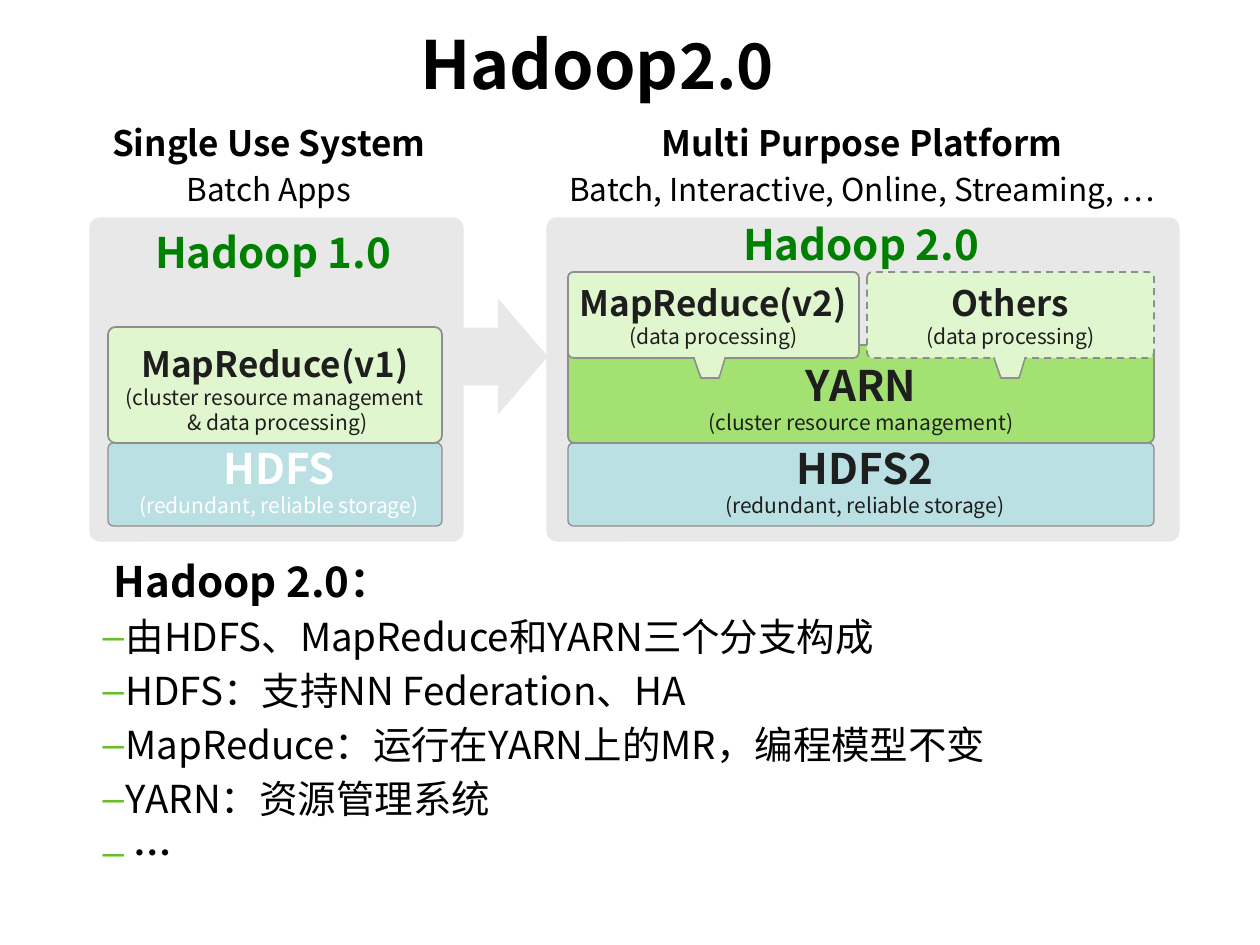
from dataclasses import dataclass
from typing import Optional

from lxml.etree import SubElement
from pptx import Presentation
from pptx.dml.color import RGBColor
from pptx.enum.dml import MSO_LINE
from pptx.enum.shapes import MSO_SHAPE
from pptx.enum.text import MSO_ANCHOR, MSO_AUTO_SIZE, PP_ALIGN
from pptx.oxml.ns import qn
from pptx.util import Emu, Pt

SCALE = 914400 / 126
FONT = "Noto Sans CJK SC"
BLACK, WHITE, INK, GREEN = "000000", "FFFFFF", "1E1E1E", "008000"
PANEL, BORDER, STORAGE, ENGINE, MANAGER = "E8E8E8", "8E8E8E", "BBE0E3", "E0F6CE", "A3E272"
BULLET = "69BE28"


@dataclass(frozen=True)
class Area:
    left: int
    top: int
    width: int
    height: int


@dataclass(frozen=True)
class Line:
    text: str
    size: int
    bold: bool = False
    margin: int = 0


@dataclass(frozen=True)
class Layer:
    area: Area
    fill: str
    lines: tuple[Line, ...]
    color: str = INK
    anchor: MSO_ANCHOR = MSO_ANCHOR.BOTTOM
    dashed: bool = False
    storage: bool = False


@dataclass(frozen=True)
class Caption:
    area: Area
    lines: tuple[Line, ...]
    color: str = BLACK


def px(length: int) -> Emu:
    """Turn px into EMU."""
    return Emu(round(length * SCALE))


def rgb(value: str) -> RGBColor:
    """Turn a hex string into a colour."""
    return RGBColor.from_string(value)


def place(shape, area: Area) -> None:
    """Move and size a shape."""
    shape.left, shape.top = px(area.left), px(area.top)
    shape.width, shape.height = px(area.width), px(area.height)


def add_span(para, line: Line, color: str) -> None:
    """Add one formatted run to a paragraph."""
    span = para.add_run()
    span.text = line.text
    span.font.size = Pt(line.size)
    span.font.bold = line.bold
    span.font.name = FONT
    span.font.color.rgb = rgb(color)
    SubElement(span.font._element, qn("a:ea"), typeface=FONT)


def indent(para, margin: int, first: int) -> None:
    """Set the left margin and first-line indent of a paragraph."""
    properties = para._p.get_or_add_pPr()
    properties.set("marL", str(px(margin)))
    properties.set("indent", str(px(first)))


def write_lines(frame, lines: tuple[Line, ...], color: str, gap: float = 0,
                align: PP_ALIGN = PP_ALIGN.CENTER) -> None:
    """Write one paragraph per line, with the gap as a share of the text size."""
    for index, line in enumerate(lines):
        para = frame.add_paragraph() if index else frame.paragraphs[0]
        para.alignment = align
        para.line_spacing = 1.0
        para.space_before = Pt(round(line.size * gap, 1) if index else 0)
        indent(para, line.margin, 0)
        add_span(para, line, color)


def paint(shape, fill: str, border: Optional[str] = None, width: float = 1) -> None:
    """Fill and outline a shape without a shadow."""
    shape.shadow.inherit = False
    shape.fill.solid()
    shape.fill.fore_color.rgb = rgb(fill)
    if border:
        shape.line.color.rgb = rgb(border)
        shape.line.width = Pt(width)
    else:
        shape.line.fill.background()


def add_preset(page, kind: MSO_SHAPE, area: Area):
    """Add a preset shape at an area."""
    return page.shapes.add_shape(kind, px(area.left), px(area.top), px(area.width), px(area.height))


def add_panel(page, area: Area) -> None:
    """Add a grey rounded panel."""
    panel = add_preset(page, MSO_SHAPE.ROUNDED_RECTANGLE, area)
    panel.adjustments[0] = 0.03
    paint(panel, PANEL, PANEL, 0.75)


def add_layer(page, layer: Layer) -> None:
    """Add one labelled block of the software stack."""
    box = add_preset(page, MSO_SHAPE.ROUNDED_RECTANGLE, layer.area)
    box.adjustments[0] = 0.065
    paint(box, layer.fill, BORDER, 0.75 if layer.storage else 1)
    if layer.dashed:
        box.line.dash_style = MSO_LINE.DASH
    frame = box.text_frame
    frame.vertical_anchor = layer.anchor
    frame.word_wrap = layer.storage
    if not layer.storage:
        frame.margin_left = frame.margin_right = 0
    write_lines(frame, layer.lines, layer.color)


def add_caption(page, caption: Caption) -> None:
    """Add a centred text box."""
    area = caption.area
    box = page.shapes.add_textbox(px(area.left), px(area.top), px(area.width), px(area.height))
    box.text_frame.word_wrap = True
    write_lines(box.text_frame, caption.lines, caption.color, 0.2)


def add_plug(page, left: int, top: int, border: Optional[str]) -> None:
    """Add the tapered plug under a processing block."""
    builder = page.shapes.build_freeform(left, top, scale=SCALE)
    builder.add_line_segments([(left + 7, top + 20), (left + 25, top + 20), (left + 31, top)])
    paint(builder.convert_to_shape(), ENGINE, border)


def fill_body(body, heading: Line, points: tuple[Line, ...]) -> None:
    """Write the heading and the dashed list."""
    place(body, Area(34, 549, 1024, 340))
    frame = body.text_frame
    frame.auto_size = MSO_AUTO_SIZE.NONE
    frame.vertical_anchor = MSO_ANCHOR.TOP
    write_lines(frame, (heading, *points), BLACK, 0.2, PP_ALIGN.LEFT)
    first, *items = frame.paragraphs
    SubElement(first._p.get_or_add_pPr(), qn("a:buNone"))
    for para in items:
        para.level = 1
        extra = 8 if para.text == "…" else 0
        indent(para, 79 + extra, -23 - extra)
        properties = para._p.get_or_add_pPr()
        SubElement(SubElement(properties, qn("a:buClr")), qn("a:srgbClr"), val=BULLET)
        SubElement(properties, qn("a:buFont"), typeface="Arial")
        SubElement(properties, qn("a:buChar"), char="–")


def main() -> None:
    """Build the slide and save it."""
    deck = Presentation()
    deck.slide_width, deck.slide_height = px(1260), px(945)
    page = deck.slides.add_slide(deck.slide_layouts[1])
    title, body = page.placeholders
    place(title, Area(15, 9, 1164, 107))
    title.text_frame.vertical_anchor = MSO_ANCHOR.MIDDLE
    write_lines(title.text_frame, (Line("Hadoop", 38, True),), BLACK)
    add_span(title.text_frame.paragraphs[0], Line("2.0", 36, True), BLACK)

    fill_body(body, Line("Hadoop 2.0：", 24, True, 67), (
        Line("由HDFS、MapReduce和YARN三个分支构成", 22),
        Line("HDFS：支持NN Federation、HA", 22),
        Line("MapReduce：运行在YARN上的MR，编程模型不变", 22),
        Line("YARN：资源管理系统", 22),
        Line("…", 22, True),
    ))

    for area in (Area(547, 218, 632, 323), Area(90, 218, 373, 323)):
        add_panel(page, area)

    storage = Line("(redundant, reliable storage)", 12, margin=8)
    processing = Line("(data processing)", 12)
    for layer in (
        Layer(Area(108, 443, 334, 83), STORAGE, (Line("HDFS", 24, True, 8), storage),
              WHITE, storage=True),
        Layer(Area(108, 327, 334, 116), ENGINE,
              (Line("MapReduce(v1)", 20, True), Line("(cluster resource management", 12),
               Line("& data processing)", 12, margin=5))),
        Layer(Area(568, 443, 586, 83), STORAGE, (Line("HDFS2", 24, True, 8), storage),
              storage=True),
        Layer(Area(568, 345, 586, 98), MANAGER,
              (Line("YARN", 24, True), Line("(cluster resource management)", 12))),
        Layer(Area(568, 272, 291, 86), ENGINE, (Line("MapReduce(v2)", 20, True), processing),
              anchor=MSO_ANCHOR.MIDDLE),
        Layer(Area(867, 272, 287, 86), ENGINE, (Line("Others", 20, True), processing),
              anchor=MSO_ANCHOR.MIDDLE, dashed=True),
    ):
        add_layer(page, layer)

    for left in (694, 994):
        add_plug(page, left, 358, BORDER)
        add_plug(page, left, 355, None)

    for caption in (
        Caption(Area(75, 115, 388, 118),
                (Line("Single Use System", 20, True), Line("Batch Apps", 18))),
        Caption(Area(546, 115, 632, 118),
                (Line("Multi Purpose Platform", 20, True),
                 Line("Batch, Interactive, Online, Streaming, …", 18))),
        Caption(Area(106, 220, 334, 77), (Line("Hadoop 1.0", 24, True),), GREEN),
        Caption(Area(694, 212, 334, 74), (Line("Hadoop 2.0", 24, True),), GREEN),
    ):
        add_caption(page, caption)

    arrow = add_preset(page, MSO_SHAPE.RIGHT_ARROW, Area(450, 300, 97, 113))
    paint(arrow, PANEL, PANEL, 0.75)
    deck.save("out.pptx")


if __name__ == "__main__":
    main()
